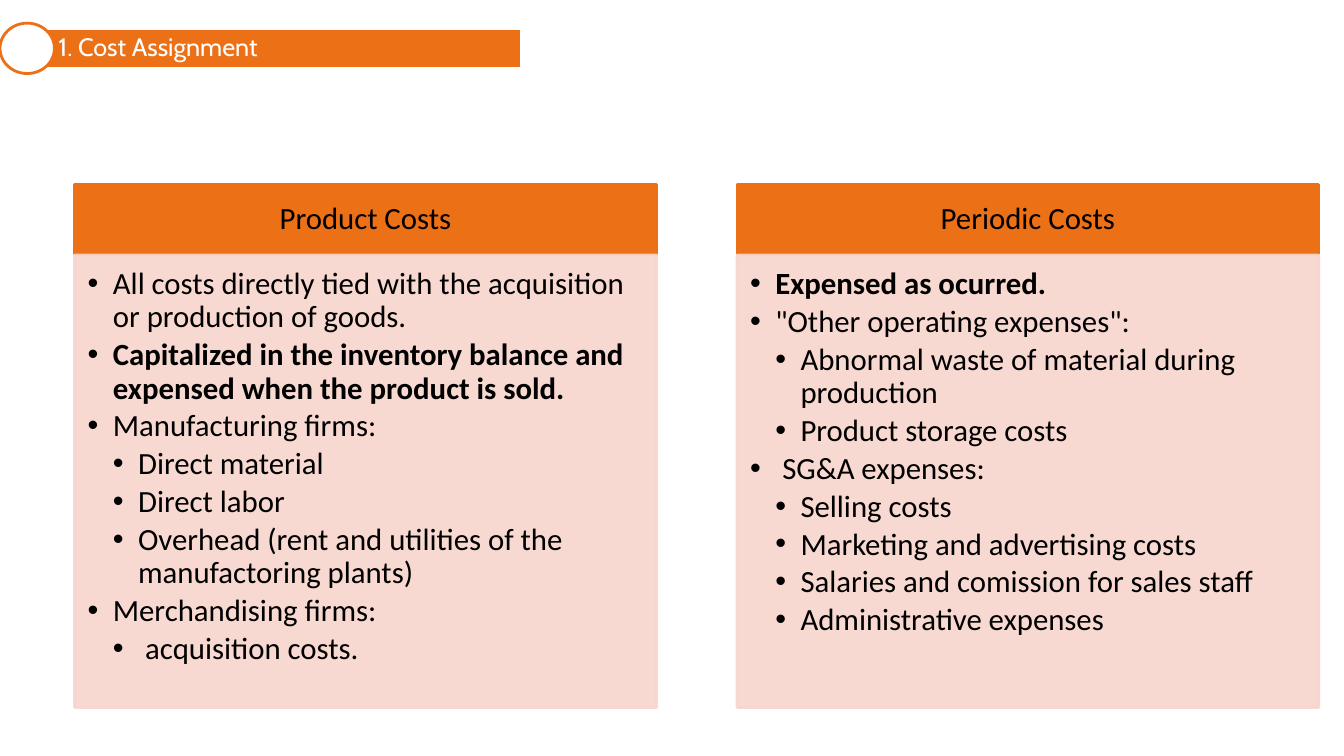
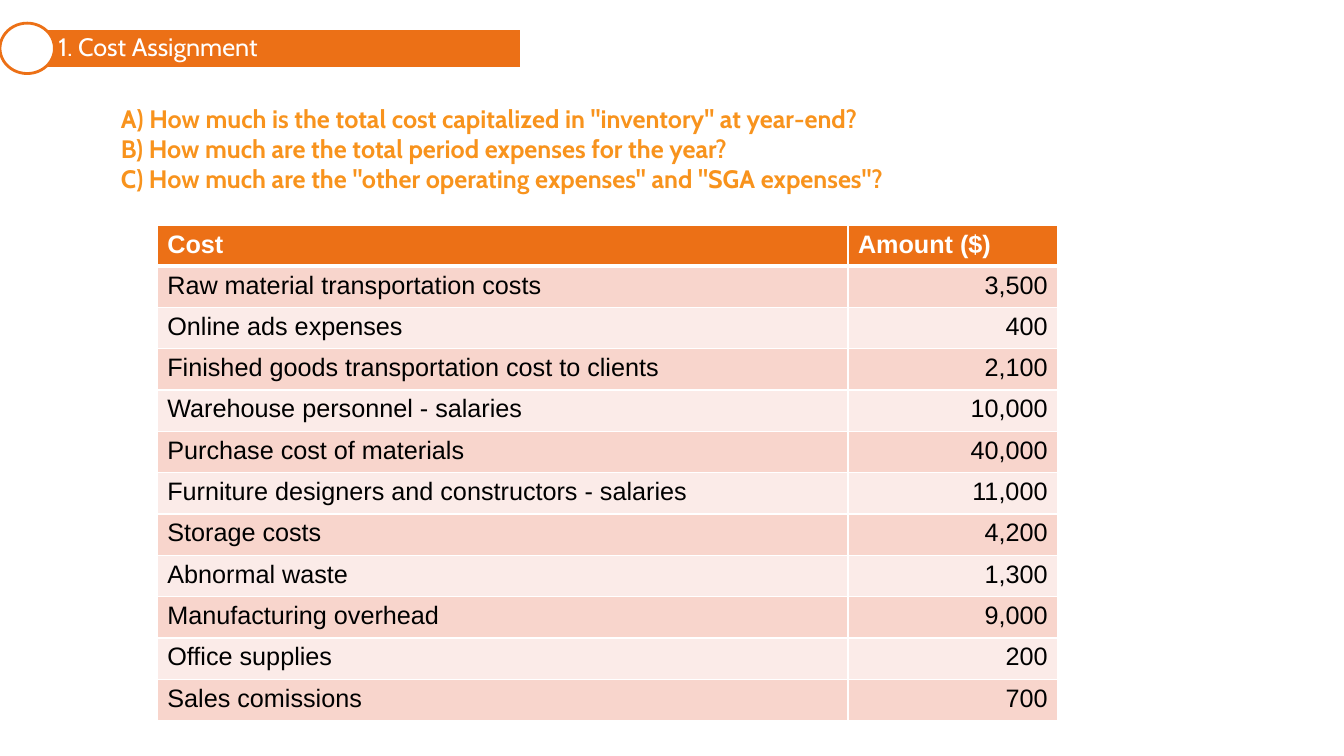
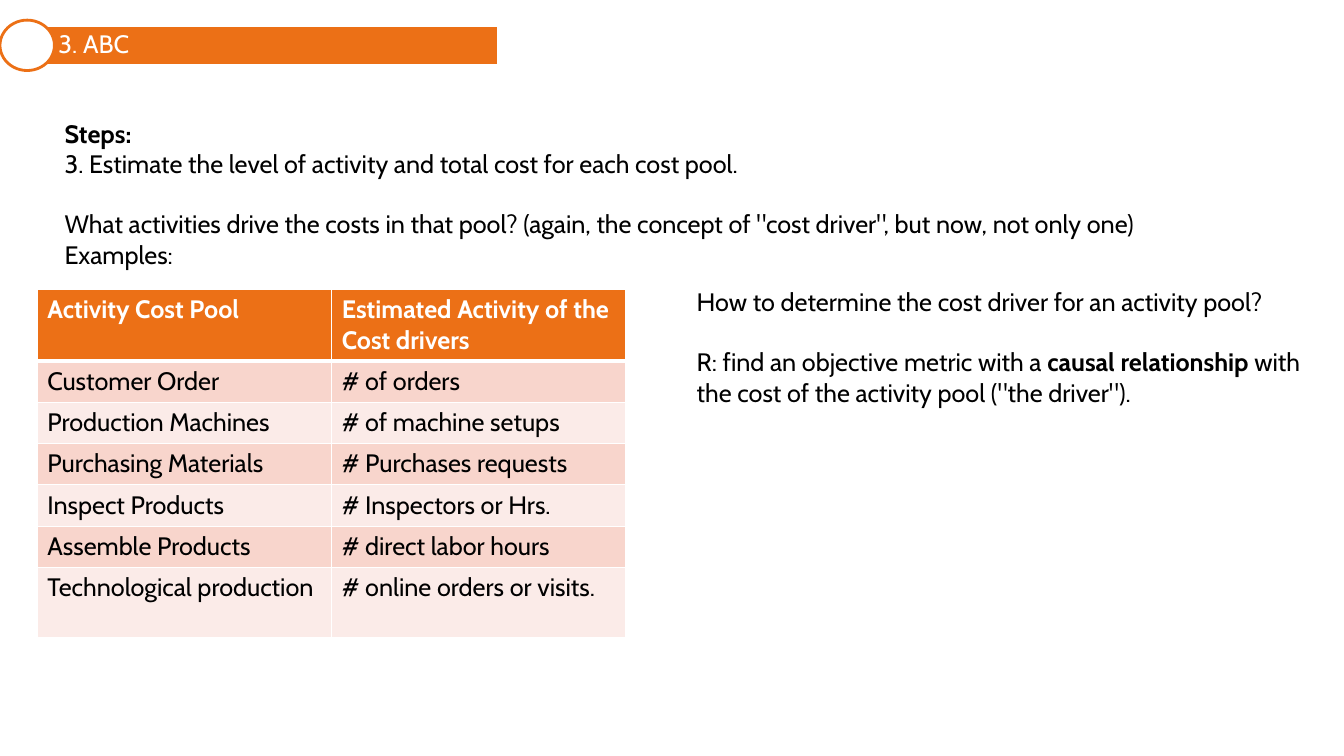
from lxml.etree import SubElement
from pptx import Presentation
from pptx.dml.color import RGBColor
from pptx.enum.shapes import MSO_SHAPE
from pptx.enum.text import MSO_ANCHOR, MSO_AUTO_SIZE, PP_ALIGN
from pptx.oxml.ns import qn
from pptx.util import Pt

PX = 9144  # 100 px to the inch

ORANGE = RGBColor(0xEC, 0x70, 0x16)
AMBER = RGBColor(0xF8, 0x93, 0x1D)
ROSE = RGBColor(0xF8, 0xD5, 0xCC)
PALE_ROSE = RGBColor(0xFB, 0xEB, 0xE8)
WHITE = RGBColor(0xFF, 0xFF, 0xFF)
BLACK = RGBColor(0x00, 0x00, 0x00)

# Layouts of the default template
TITLE_AND_BODY, TWO_BODIES, COMPARISON = 1, 3, 4


class SlideBuilder:
    """Holds the shared style and the slide being built."""

    def __init__(self):
        self.deck = Presentation()
        self.deck.slide_width = 1333 * PX
        self.deck.slide_height = 750 * PX
        self.page = None

    def place(self, shape, left, top, width, height):
        shape.left, shape.top = left * PX, top * PX
        shape.width, shape.height = width * PX, height * PX

    def paint(self, shape, fill, line, opacity=100):
        shape.fill.solid()
        shape.fill.fore_color.rgb = fill
        shape.line.color.rgb = line
        shape.line.width = Pt(2)
        if opacity < 100:
            for color in shape.element.spPr.iter(qn("a:srgbClr")):
                SubElement(color, qn("a:alpha"), val=str(opacity * 1000))

    def set_bullet(self, para, level):
        """Level 0 removes the bullet that the template gives."""
        properties = para._p.get_or_add_pPr()
        properties.set("marL", str(level * 25 * PX))
        properties.set("indent", str(-25 * PX if level else 0))
        if level:
            para.level = level - 1
            SubElement(properties, qn("a:buChar"), char="•")
        else:
            SubElement(properties, qn("a:buNone"))

    def add_spans(self, para, text, font, size, color, bold=False):
        """Parts between ** marks are bold."""
        for number, part in enumerate(text.split("**")):
            if not part:
                continue
            span = para.add_run()
            span.text = part
            span.font.name = font
            span.font.size = Pt(size)
            span.font.color.rgb = color
            span.font.bold = bold or number % 2 == 1

    def text(self, index, area, lines, font="Cabin", size=18, color=BLACK,
             bold=False, align=PP_ALIGN.LEFT, anchor=MSO_ANCHOR.TOP,
             margins=(10, 5, 10, 5), spacing=1.0, after=0):
        """Fills a placeholder; a line is (text, bullet level, points before)."""
        box = self.page.placeholders[index]
        self.place(box, *area)
        frame = box.text_frame
        frame.word_wrap = True
        frame.auto_size = MSO_AUTO_SIZE.NONE
        frame.vertical_anchor = anchor
        (frame.margin_left, frame.margin_top,
         frame.margin_right, frame.margin_bottom) = [m * PX for m in margins]
        for number, (line, level, before) in enumerate(lines):
            para = frame.add_paragraph() if number else frame.paragraphs[0]
            self.set_bullet(para, level)
            para.alignment = align
            para.line_spacing = spacing
            para.space_before = Pt(before)
            para.space_after = Pt(after)
            self.add_spans(para, line, font, size, color, bold)
        return box

    def new_page(self, layout, title, top, width):
        """Starts a slide with its title band and round marker."""
        self.page = self.deck.slides.add_slide(self.deck.slide_layouts[layout])
        band = self.text(0, (27, top, width, 40), [(title, 0, 0)], color=WHITE,
                         anchor=MSO_ANCHOR.MIDDLE, margins=(31, 5, 5, 5), spacing=0.9)
        self.paint(band, ORANGE, WHITE)
        marker = self.page.shapes.add_shape(
            MSO_SHAPE.OVAL, 0, (top - 5) * PX, 54 * PX, 50 * PX)
        marker.shadow.inherit = False
        self.paint(marker, WHITE, ORANGE)

    def panel(self, index, left, heading, lines):
        """A headed list; index is that of the heading placeholder."""
        head = self.text(index, (left, 183, 577, 69), [(heading, 0, 0)],
                         font="Calibri", size=22, align=PP_ALIGN.CENTER,
                         anchor=MSO_ANCHOR.MIDDLE, margins=(17, 10, 17, 10),
                         spacing=0.9)
        self.paint(head, ORANGE, ORANGE)
        body = self.text(index + 1, (left, 253, 577, 449),
                         [(line, level, 0) for level, line in lines],
                         font="Calibri", size=22, margins=(13, 13, 17, 19),
                         spacing=0.9, after=3.3)
        self.paint(body, ROSE, ROSE, opacity=90)

    def set_borders(self, cell, top, bottom):
        properties = cell._tc.get_or_add_tcPr()
        for side, width in (("L", 1), ("R", 1), ("T", top), ("B", bottom)):
            line = SubElement(properties, qn("a:ln" + side), w=str(Pt(width)))
            fill = SubElement(line, qn("a:solidFill"))
            SubElement(fill, qn("a:srgbClr"), val=str(WHITE))

    def table(self, left, top, widths, heights, rows, font, number_column=None):
        grid = self.page.shapes.add_table(
            len(rows), len(widths), left * PX, top * PX,
            sum(widths) * PX, sum(heights) * PX).table
        grid.first_row = grid.horz_banding = False
        for column, width in zip(grid.columns, widths):
            column.width = width * PX
        for r, (row, height) in enumerate(zip(rows, heights)):
            grid.rows[r].height = height * PX
            header = r == 0
            for c, value in enumerate(row):
                cell = grid.cell(r, c)
                self.set_borders(cell, 3 if r == 1 else 1, 3 if header else 1)
                cell.fill.solid()
                cell.fill.fore_color.rgb = (
                    ORANGE if header else ROSE if r % 2 else PALE_ROSE)
                para = cell.text_frame.paragraphs[0]
                if c == number_column and not header:
                    para.alignment = PP_ALIGN.RIGHT
                self.add_spans(para, value, font, 18,
                               WHITE if header else BLACK, header)


def main():
    builder = SlideBuilder()

    # Product and periodic costs
    builder.new_page(COMPARISON, "1. Cost Assignment", 28, 490)
    builder.panel(1, 74, "Product Costs", [
        (1, "All costs directly tied with the acquisition or production of goods."),
        (1, "**Capitalized in the inventory balance and expensed when the product is sold.**"),
        (1, "Manufacturing firms:"),
        (2, "Direct material"),
        (2, "Direct labor"),
        (2, "Overhead (rent and utilities of the manufactoring plants)"),
        (1, "Merchandising firms:"),
        (2, " acquisition costs."),
    ])
    builder.panel(3, 731, "Periodic Costs", [
        (1, "**Expensed as ocurred.**"),
        (1, '"Other operating expenses":'),
        (2, "Abnormal waste of material during production"),
        (2, "Product storage costs"),
        (1, " SG&A expenses:"),
        (2, "Selling costs"),
        (2, "Marketing and advertising costs"),
        (2, "Salaries and comission for sales staff"),
        (2, "Administrative expenses"),
    ])

    # Cost exercise
    builder.new_page(TITLE_AND_BODY, "1. Cost Assignment", 28, 490)
    builder.text(1, (110, 97, 916, 131), [
        ('A) How much is the total cost capitalized in "inventory" at year-end?', 0, 0),
        ("B) How much are the total period expenses for the year?", 0, 0),
        ('C) How much are the "other operating expenses" and "SGA expenses"?', 0, 0),
    ], color=AMBER, bold=True)
    costs = [
        ("Cost", "Amount ($)"),
        ("Raw material transportation costs", "3,500"),
        ("Online ads expenses", "400"),
        ("Finished goods transportation cost to clients", "2,100"),
        ("Warehouse personnel - salaries", "10,000"),
        ("Purchase cost of materials", "40,000"),
        ("Furniture designers and constructors - salaries", "11,000"),
        ("Storage costs", "4,200"),
        ("Abnormal waste", "1,300"),
        ("Manufacturing overhead", "9,000"),
        ("Office supplies", "200"),
        ("Sales comissions", "700"),
    ]
    builder.table(156, 224, [685, 208], [40] + [41] * 11, costs, "Arial",
                  number_column=1)

    # Activity-based costing
    builder.new_page(TWO_BODIES, "3. ABC", 25, 467)
    builder.text(1, (54, 112, 1096, 162), [
        ("**Steps:**", 0, 0),
        ("3. Estimate the level of activity and total cost for each cost pool.", 0, 0),
        ("What activities drive the costs in that pool? (again, the concept of "
         '"cost driver", but now, not only one)', 0, 21.6),
        ("Examples:", 0, 0),
    ])
    builder.text(2, (681, 279, 630, 131), [
        ("How to determine the cost driver for an activity pool?", 0, 0),
        ("R: find an objective metric with a **causal relationship **with the cost "
         'of the activity pool ("the driver").', 0, 21.6),
    ])
    pools = [
        ("Activity Cost Pool", "Estimated Activity of the Cost drivers"),
        ("Customer Order", "# of orders"),
        ("Production Machines", "# of machine setups"),
        ("Purchasing Materials", "# Purchases requests"),
        ("Inspect Products", "# Inspectors or Hrs."),
        ("Assemble Products", "# direct labor hours"),
        ("Technological production", "# online orders or visits."),
    ]
    builder.table(37, 287, [292, 292], [70] + [41] * 5 + [70], pools, "Cabin")

    builder.deck.save("out.pptx")


if __name__ == "__main__":
    main()
